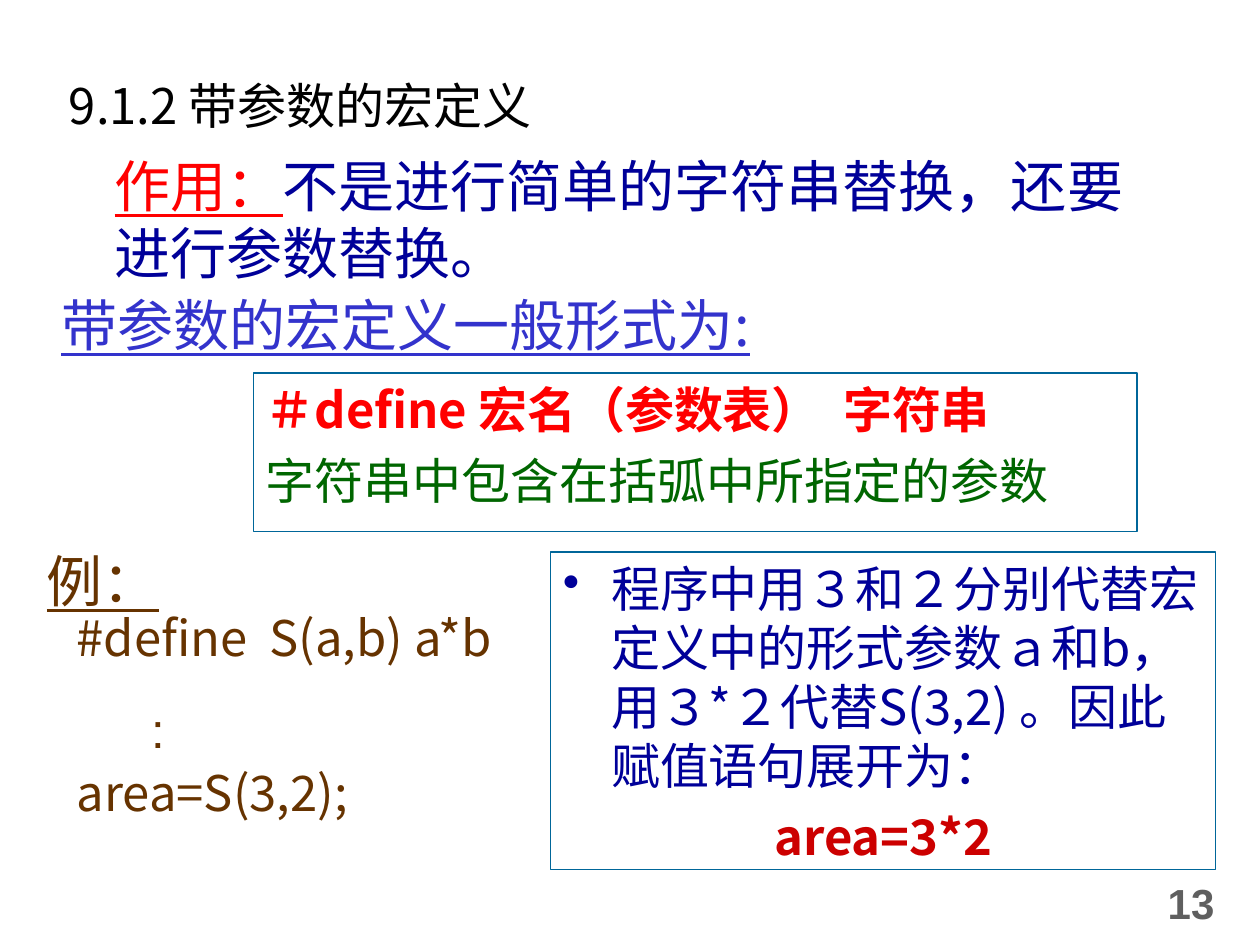
from dataclasses import dataclass

from lxml.etree import SubElement
from pptx import Presentation
from pptx.dml.color import RGBColor
from pptx.enum.shapes import MSO_SHAPE as Preset
from pptx.enum.text import MSO_ANCHOR as Anchor, MSO_AUTO_SIZE as AutoSize, PP_ALIGN as Align
from pptx.oxml.ns import qn
from pptx.util import Cm, Pt

CJK = "Noto Sans CJK SC"
NAVY, RED, BROWN = "000099", "FF0000", "663300"
HANGING = 0.97


@dataclass
class Span:
    text: str
    size: float
    color: str
    font: str = CJK
    bold: bool = False
    underline: bool = False


@dataclass
class Para:
    spans: list[Span]
    before: float = 0
    after: float = 0
    margin: float = 0
    indent: float = 0
    spacing: float = 1.0
    align: Align = Align.LEFT
    bullet: str = ""


@dataclass
class Block:
    left: float
    top: float
    width: float
    height: float
    paras: list[Para]
    border: str = ""
    wrap: bool = True
    anchor: Anchor = Anchor.TOP
    inset_top: float = 0.13


def color(value: str) -> RGBColor:
    return RGBColor.from_string(value)


def line(text: str, *, size: float = 28, tint: str = NAVY, font: str = CJK,
         bold: bool = False, underline: bool = False, **layout) -> Para:
    return Para([Span(text, size, tint, font, bold, underline)], **layout)


def write_span(paragraph, span: Span) -> None:
    run = paragraph.add_run()
    run.text = span.text
    font = run.font
    font.size = Pt(span.size)
    font.bold = span.bold
    font.underline = span.underline
    font.color.rgb = color(span.color)
    font.name = span.font
    latin = run._r.get_or_add_rPr().find(qn("a:latin"))
    east_asian = latin.makeelement(qn("a:ea"), {"typeface": span.font})
    latin.addnext(east_asian)


def write_para(paragraph, para: Para) -> None:
    paragraph.alignment = para.align
    paragraph.space_before = Pt(para.before)
    paragraph.space_after = Pt(para.after)
    paragraph.line_spacing = para.spacing
    properties = paragraph._p.get_or_add_pPr()
    properties.set("marL", str(Cm(para.margin)))
    properties.set("indent", str(Cm(para.indent)))
    if para.bullet:
        SubElement(properties, qn("a:buChar"), {"char": para.bullet})
    for span in para.spans:
        write_span(paragraph, span)


def fill_block(shape, block: Block) -> None:
    shape.left, shape.top = Cm(block.left), Cm(block.top)
    shape.width, shape.height = Cm(block.width), Cm(block.height)
    frame = shape.text_frame
    frame.word_wrap = block.wrap
    frame.auto_size = AutoSize.NONE
    frame.vertical_anchor = block.anchor
    frame.margin_left = frame.margin_right = Cm(0.25)
    frame.margin_top, frame.margin_bottom = Cm(block.inset_top), Cm(0.13)
    for index, para in enumerate(block.paras):
        write_para(frame.add_paragraph() if index else frame.paragraphs[0], para)


def draw_block(page, block: Block) -> None:
    area = Cm(block.left), Cm(block.top), Cm(block.width), Cm(block.height)
    if block.border:
        box = page.shapes.add_shape(Preset.RECTANGLE, *area)
        box.shadow.inherit = False
        box.fill.background()
        box.line.color.rgb = color(block.border)
        box.line.width = Pt(0.75)
    else:
        box = page.shapes.add_textbox(*area)
    fill_block(box, block)


TITLE = Block(0.89, 1.12, 23.5, 2.06, [
    line("9.1.2 带参数的宏定义", tint="000000", margin=0.25)], inset_top=0.4)

BLOCKS = [
    Block(23.29, 17.35, 1.8, 1.7, [
        line("13", size=24, tint="5F5F5F", font="Arial", bold=True)],
        wrap=False, anchor=Anchor.MIDDLE),
    Block(1.09, 2.92, 22.2, 2.59, [
        Para([Span("作用：", 32, RED, underline=True),
              Span("不是进行简单的字符串替换，还要进行参数替换。", 32, NAVY)],
             before=8, margin=HANGING)]),
    Block(0.51, 5.72, 20.4, 1.6, [
        line("带参数的宏定义一般形式为:", size=32, tint="3333CC", underline=True,
             before=8, margin=0.48)]),
    Block(5.11, 7.52, 17.81, 3.2, [
        line("＃define 宏名（参数表）  字符串", tint=RED, bold=True, before=7,
             margin=HANGING, indent=-HANGING),
        line("字符串中包含在括弧中所指定的参数", tint="006600", before=7,
             margin=HANGING, indent=-HANGING)], border="006699"),
    Block(1.3, 12.12, 10.59, 4.6, [
        line("#define  S(a,b) a*b", tint=BROWN),
        line(":", tint=BROWN, font="Arial", before=19, after=2, margin=1.5),
        line("area=S(3,2);", tint=BROWN)]),
    Block(11.1, 11.13, 13.41, 6.4, [
        line("程序中用３和２分别代替宏定义中的形式参数ａ和b，用３*２代替S(3,2) 。因此赋值语句展开为：",
             before=7, margin=HANGING, indent=-HANGING, bullet="•"),
        line("area=3*2", tint="CC0000", bold=True, before=7,
             margin=HANGING, indent=-HANGING, align=Align.CENTER)], border="006699"),
    Block(0.69, 10.31, 2.77, 2.18, [
        line("例：", size=32, tint=BROWN, font="Noto Sans CJK JP", underline=True,
             before=2, spacing=1.2, align=Align.CENTER)],
        wrap=False, inset_top=0.43),
]


def main() -> None:
    deck = Presentation()
    deck.slide_width, deck.slide_height = Cm(25.4), Cm(19.05)
    page = deck.slides.add_slide(deck.slide_layouts.get_by_name("Title Only"))
    fill_block(page.shapes.title, TITLE)
    for block in BLOCKS:
        draw_block(page, block)
    deck.save("out.pptx")


if __name__ == "__main__":
    main()
